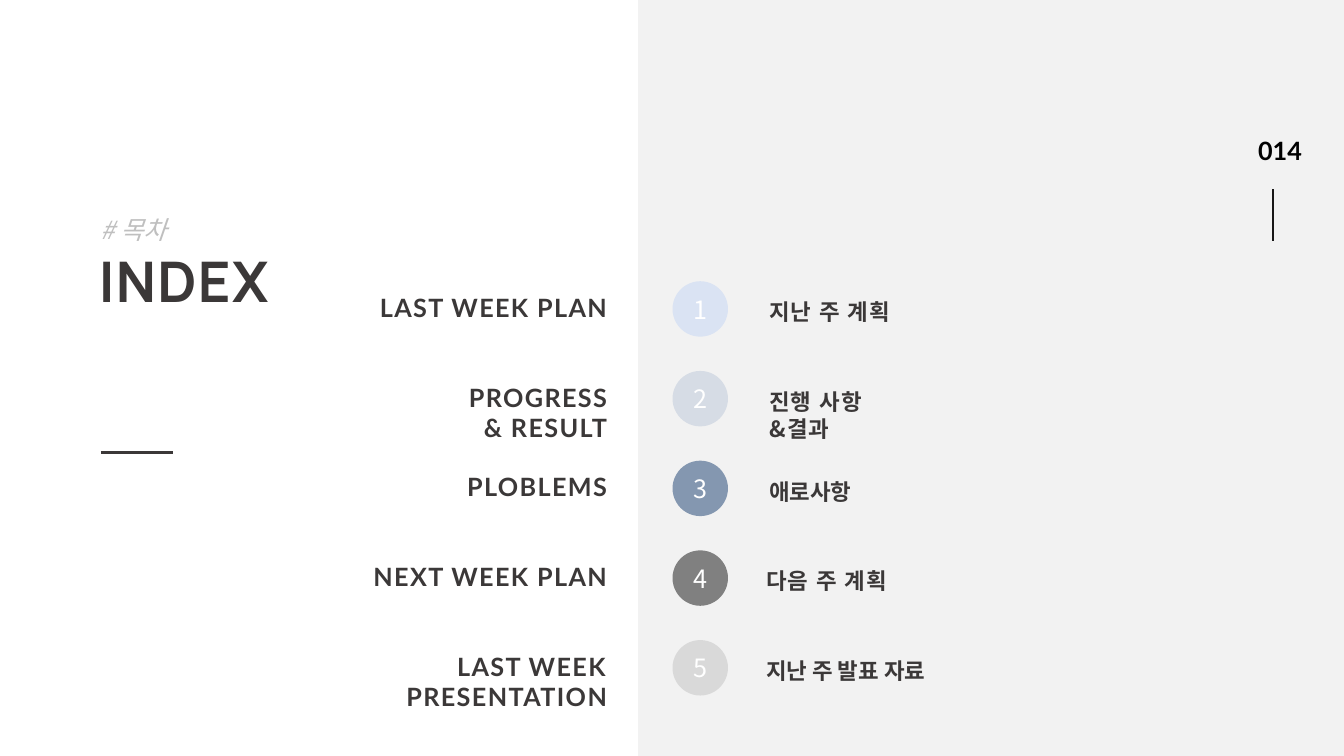
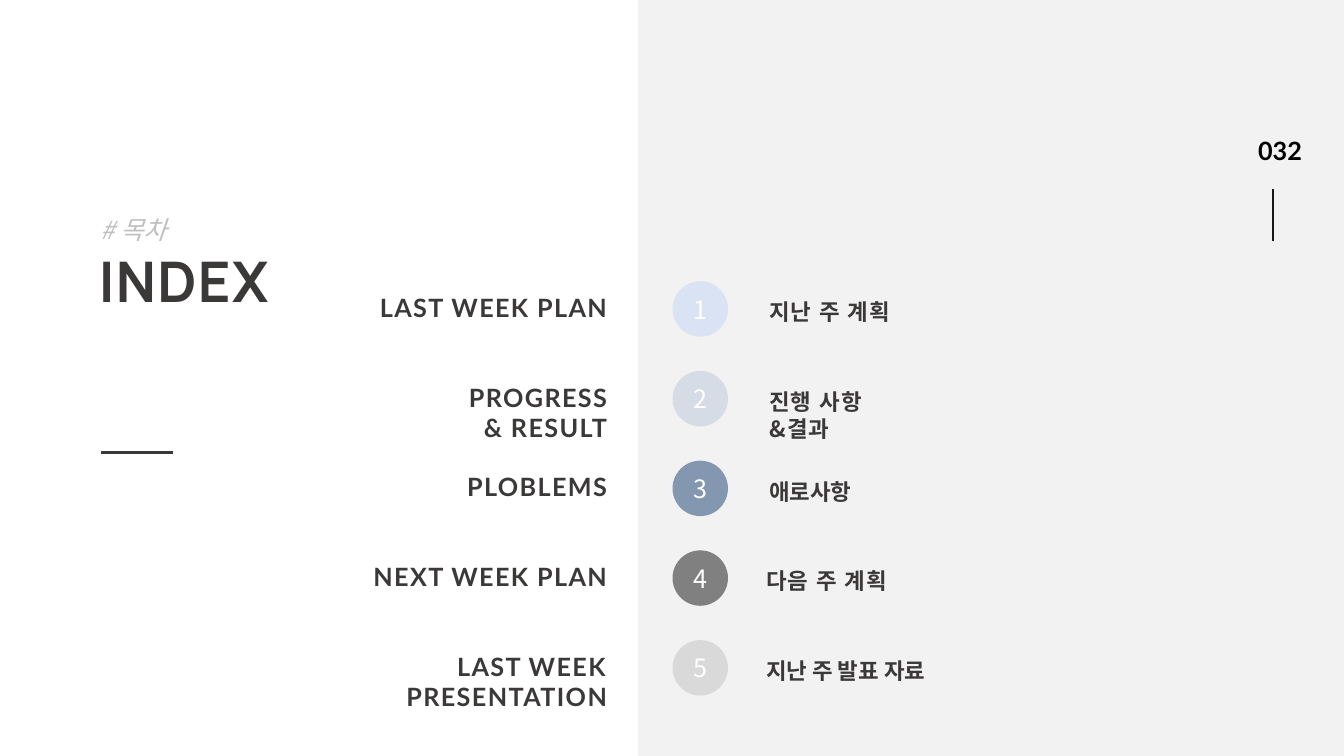
"""Build two index slides that share a grey panel, a numbered agenda and a page number."""
from lxml import etree
from pptx import Presentation
from pptx.dml.color import RGBColor
from pptx.enum.shapes import MSO_CONNECTOR, MSO_SHAPE
from pptx.enum.text import MSO_ANCHOR, MSO_AUTO_SIZE, PP_ALIGN
from pptx.oxml.ns import qn
from pptx.util import Inches, Pt

LEFT, CENTER, RIGHT = PP_ALIGN.LEFT, PP_ALIGN.CENTER, PP_ALIGN.RIGHT
TOP, MIDDLE = MSO_ANCHOR.TOP, MSO_ANCHOR.MIDDLE
FIT_SHAPE, NO_FIT = MSO_AUTO_SIZE.SHAPE_TO_FIT_TEXT, MSO_AUTO_SIZE.NONE
STRAIGHT = MSO_CONNECTOR.STRAIGHT
RECTANGLE, OVAL = MSO_SHAPE.RECTANGLE, MSO_SHAPE.OVAL

COLORS = {
    "panel": "F2F2F2",
    "ink": "3B3838",
    "page_line": "181717",
    "page_number": "000000",
    "subtitle": "BFBFBF",
    "circle_text": "FFFFFF",
}
LATIN_FONT, TITLE_FONT, KOREAN_FONT = "Lato", "Manrope", "Noto Sans CJK KR"

PAGE_NUMBERS = ["014", "032"]
AGENDA = [
    ("LAST WEEK PLAN", "지난 주 계획", 7.53, 1, "DAE3F3"),
    ("PROGRESS\n& RESULT", "진행 사항\n&결과", 7.53, 1, "D6DCE5"),
    ("PLOBLEMS", "애로사항", 7.53, 0, "8497B0"),
    ("NEXT WEEK PLAN", "다음 주 계획", 7.5, 1, "808080"),
    ("LAST WEEK PRESENTATION", "지난 주 발표 자료", 7.5, 0, "D9D9D9"),
]
FIRST_ROW, ROW_PITCH, CIRCLE_SIZE = 2.79, 0.89, 0.55


def write_text(shape, text, font_name, size, color, align=LEFT, anchor=TOP,
               bold=True, spacing=0, wrap=True, fit=FIT_SHAPE):
    frame = shape.text_frame
    frame.text = text
    frame.word_wrap = wrap
    frame.auto_size = fit
    frame.vertical_anchor = anchor
    for paragraph in frame.paragraphs:
        paragraph.alignment = align
        font = paragraph.font
        font.name, font.size, font.bold = font_name, Pt(size), bold
        font.color.rgb = RGBColor.from_string(COLORS[color])
        properties = paragraph._p.pPr.find(qn("a:defRPr"))
        properties.set("spc", str(spacing * 100))
        etree.SubElement(properties, qn("a:ea"), typeface=font_name)
    return frame


def add_line(slide, start, end, color, width):
    line = slide.shapes.add_connector(STRAIGHT, *map(Inches, start + end))
    line.line.color.rgb = RGBColor.from_string(COLORS[color])
    line.line.width = Pt(width)
    etree.SubElement(line._element.spPr, qn("a:effectLst"))
    return line


presentation = Presentation()
presentation.slide_width, presentation.slide_height = Inches(13.33), Inches(7.5)
layout = presentation.slide_layouts[5]
slides = [presentation.slides.add_slide(layout) for _ in PAGE_NUMBERS]

panel = slides[0].shapes.add_shape(RECTANGLE, Inches(6.33), 0, Inches(7), Inches(7.5))
panel.shadow.inherit = False
panel.fill.solid()
panel.fill.fore_color.rgb = RGBColor.from_string(COLORS["panel"])
panel.line.fill.background()
page_line = add_line(slides[0], (12.63, 1.88), (12.63, 2.39), "page_line", 1.5)
for shared_shape in (panel, page_line):
    layout.shapes.element.append(shared_shape.element)

for slide, page_number in zip(slides, PAGE_NUMBERS):
    shapes = slide.shapes
    title = shapes.title
    title.left, title.top = Inches(0.88), Inches(2.47)
    title.width, title.height = Inches(3.55), Inches(1.48)
    frame = write_text(title, "INDEX", TITLE_FONT, 40, "ink", spacing=1, fit=NO_FIT)
    frame.paragraphs[0].line_spacing = 0.9

    subtitle = shapes.add_textbox(Inches(0.9), Inches(2.13), Inches(4.33), Inches(0.41))
    frame = write_text(subtitle, "# 목차", KOREAN_FONT, 18, "subtitle", bold=False, fit=NO_FIT)
    frame.paragraphs[0].line_spacing = Pt(18)
    frame.paragraphs[0].font.italic = True

    add_line(slide, (1, 4.49), (1.72, 4.49), "ink", 2.75)

    number_box = shapes.add_textbox(Inches(12.38), Inches(1.29), Inches(0.64), Inches(0.4))
    write_text(number_box, page_number, LATIN_FONT, 18, "page_number", wrap=False)

    for row, (english, korean, korean_left, spacing, fill) in enumerate(AGENDA):
        top = FIRST_ROW + row * ROW_PITCH
        circle = shapes.add_shape(OVAL, Inches(6.67), Inches(top),
                                  Inches(CIRCLE_SIZE), Inches(CIRCLE_SIZE))
        circle.shadow.inherit = False
        circle.fill.solid()
        circle.fill.fore_color.rgb = RGBColor.from_string(fill)
        circle.line.fill.background()
        write_text(circle, str(row + 1), KOREAN_FONT, 18, "circle_text",
                   CENTER, MIDDLE, bold=False, fit=NO_FIT)

        english_box = shapes.add_textbox(Inches(2.78), Inches(top + 0.06),
                                         Inches(3.34), Inches(0.4))
        write_text(english_box, english, LATIN_FONT, 18, "ink", RIGHT, spacing=1)

        korean_box = shapes.add_textbox(Inches(korean_left), Inches(top + 0.12),
                                        Inches(2.7), Inches(0.37))
        write_text(korean_box, korean, KOREAN_FONT, 16, "ink", spacing=spacing)

presentation.save("out.pptx")
